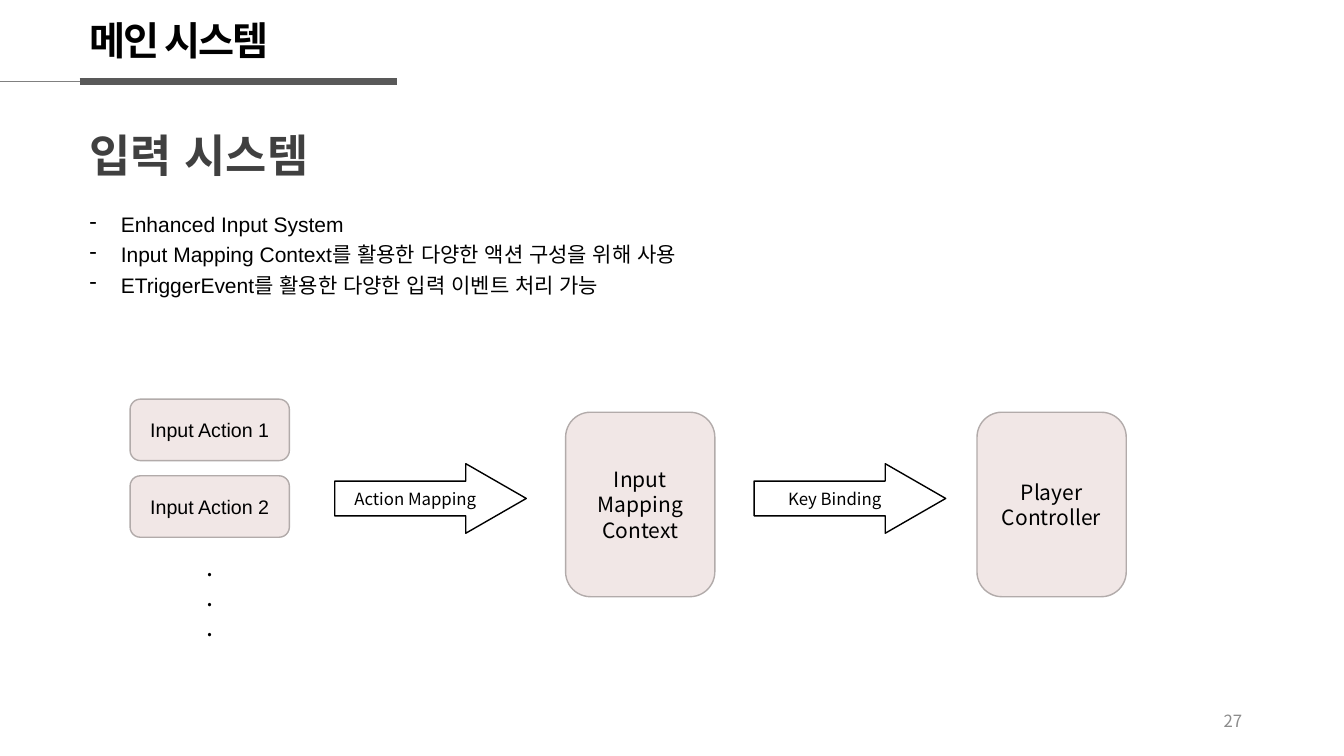
"""Build the input system slide with its action flow diagram."""
from dataclasses import dataclass
from typing import Optional

from lxml.etree import SubElement
from pptx import Presentation
from pptx.dml.color import RGBColor
from pptx.enum.shapes import MSO_CONNECTOR, MSO_SHAPE
from pptx.enum.text import MSO_ANCHOR, MSO_AUTO_SIZE, PP_ALIGN
from pptx.oxml.ns import qn
from pptx.util import Inches, Pt

BLACK = RGBColor(0x00, 0x00, 0x00)
DARK = RGBColor(0x40, 0x40, 0x40)
BAR = RGBColor(0x59, 0x59, 0x59)
GRAY = RGBColor(0x80, 0x80, 0x80)
PALE = RGBColor(0x8C, 0x8C, 0x8C)
ROSE = RGBColor(0xF1, 0xE7, 0xE6)
EDGE = RGBColor(0xB2, 0xAB, 0xAA)
NOTO = "Noto Sans CJK KR"
ARIAL = "Arial"


@dataclass
class Style:
    size: float
    face: str = NOTO
    color: RGBColor = BLACK
    bold: bool = False
    align: PP_ALIGN = PP_ALIGN.LEFT
    bullet: str = ""
    track: float = 0


@dataclass
class Rule:
    left: float
    right: float
    color: RGBColor
    width: float


@dataclass
class Label:
    box: tuple[float, float, float, float]
    lines: list[str]
    style: Style
    grow: bool = True


@dataclass
class Node:
    kind: MSO_SHAPE
    box: tuple[float, float, float, float]
    lines: list[str]
    style: Style
    fill: Optional[RGBColor] = ROSE
    edge: RGBColor = EDGE


def write(frame, lines: list[str], style: Style) -> None:
    frame.text = "\n".join(lines)
    for para in frame.paragraphs:
        para.alignment = style.align
        if style.bullet:
            props = para._p.get_or_add_pPr()
            props.set("marL", str(Inches(0.31)))
            props.set("indent", str(-Inches(0.31)))
            SubElement(props, qn("a:buChar"), char=style.bullet)
            para.line_spacing = 1.2
        font = para.font
        font.size, font.bold, font.name = Pt(style.size), style.bold, style.face
        font.color.rgb = style.color
        SubElement(font._element, qn("a:ea"), typeface=style.face)
        if style.track:
            font._element.set("spc", str(round(style.track * 100)))


def add_rule(slide, rule: Rule) -> None:
    y = Inches(0.81)
    line = slide.shapes.add_connector(
        MSO_CONNECTOR.STRAIGHT, Inches(rule.left), y, Inches(rule.right), y)
    line.line.color.rgb = rule.color
    line.line.width = Pt(rule.width)
    SubElement(line._element.spPr, qn("a:effectLst"))


def add_title(slide, text: str) -> None:
    title = slide.shapes.title
    title.left, title.top = Inches(0.79), Inches(0.11)
    title.width, title.height = Inches(2.18), Inches(0.57)
    frame = title.text_frame
    write(frame, [text], Style(28, bold=True, track=-1.5))
    frame.word_wrap = False
    frame.vertical_anchor = MSO_ANCHOR.TOP
    frame.auto_size = MSO_AUTO_SIZE.SHAPE_TO_FIT_TEXT


def add_label(slide, label: Label) -> None:
    frame = slide.shapes.add_textbox(*map(Inches, label.box)).text_frame
    frame.word_wrap = True
    if label.grow:
        frame.auto_size = MSO_AUTO_SIZE.SHAPE_TO_FIT_TEXT
    else:
        frame.vertical_anchor = MSO_ANCHOR.MIDDLE
    write(frame, label.lines, label.style)


def add_node(slide, node: Node) -> None:
    shape = slide.shapes.add_shape(node.kind, *map(Inches, node.box))
    shape.shadow.inherit = False
    if node.fill is None:
        shape.fill.background()
    else:
        shape.fill.solid()
        shape.fill.fore_color.rgb = node.fill
    shape.line.color.rgb = node.edge
    shape.line.width = Pt(1)
    if node.kind == MSO_SHAPE.RIGHT_ARROW:
        shape.adjustments[1] = 0.869
    shape.text_frame.vertical_anchor = MSO_ANCHOR.MIDDLE
    write(shape.text_frame, node.lines, node.style)


def main() -> None:
    deck = Presentation()
    deck.slide_width, deck.slide_height = Inches(13.33), Inches(7.5)
    slide = deck.slides.add_slide(deck.slide_layouts[5])

    for rule in (Rule(0, 0.79, GRAY, 0.5), Rule(0.79, 3.94, BAR, 4.5)):
        add_rule(slide, rule)
    add_title(slide, "메인 시스템")

    points = [
        "Enhanced Input System",
        "Input Mapping Context를 활용한 다양한 액션 구성을 위해 사용",
        "ETriggerEvent를 활용한 다양한 입력 이벤트 처리 가능",
    ]
    labels = [
        Label((9.42, 6.95, 3, 0.4), ["27"],
              Style(12, color=PALE, align=PP_ALIGN.RIGHT), grow=False),
        Label((0.79, 1.22, 5.65, 0.64), ["입력 시스템"],
              Style(32, ARIAL, DARK, bold=True)),
        Label((0.79, 2, 6.98, 0.98), points, Style(15, ARIAL, bullet="-")),
        Label((2, 5.42, 0.15, 1.01), ["."] * 3, Style(18)),
    ]
    for label in labels:
        add_label(slide, label)

    mid = PP_ALIGN.CENTER
    small = Style(14, ARIAL, align=mid)
    large = Style(15, align=mid)
    tag = Style(12, align=mid)
    round_box, arrow = MSO_SHAPE.ROUNDED_RECTANGLE, MSO_SHAPE.RIGHT_ARROW
    nodes = [Node(round_box, (1.29, 3.96 + 0.76 * i, 1.58, 0.61),
                  [f"Input Action {i + 1}"], small) for i in range(2)]
    nodes += [Node(round_box, (left, 4.09, 1.48, 1.83), lines, large)
              for left, lines in ((5.61, ["Input", "Mapping", "Context"]),
                                  (9.69, ["Player", "Controller"]))]
    nodes += [Node(arrow, (left, 4.6, 1.9, 0.69), [text], tag, None, BLACK)
              for left, text in ((3.32, "Action Mapping"), (7.48, "Key Binding"))]
    for node in nodes:
        add_node(slide, node)

    deck.save("out.pptx")


if __name__ == "__main__":
    main()
